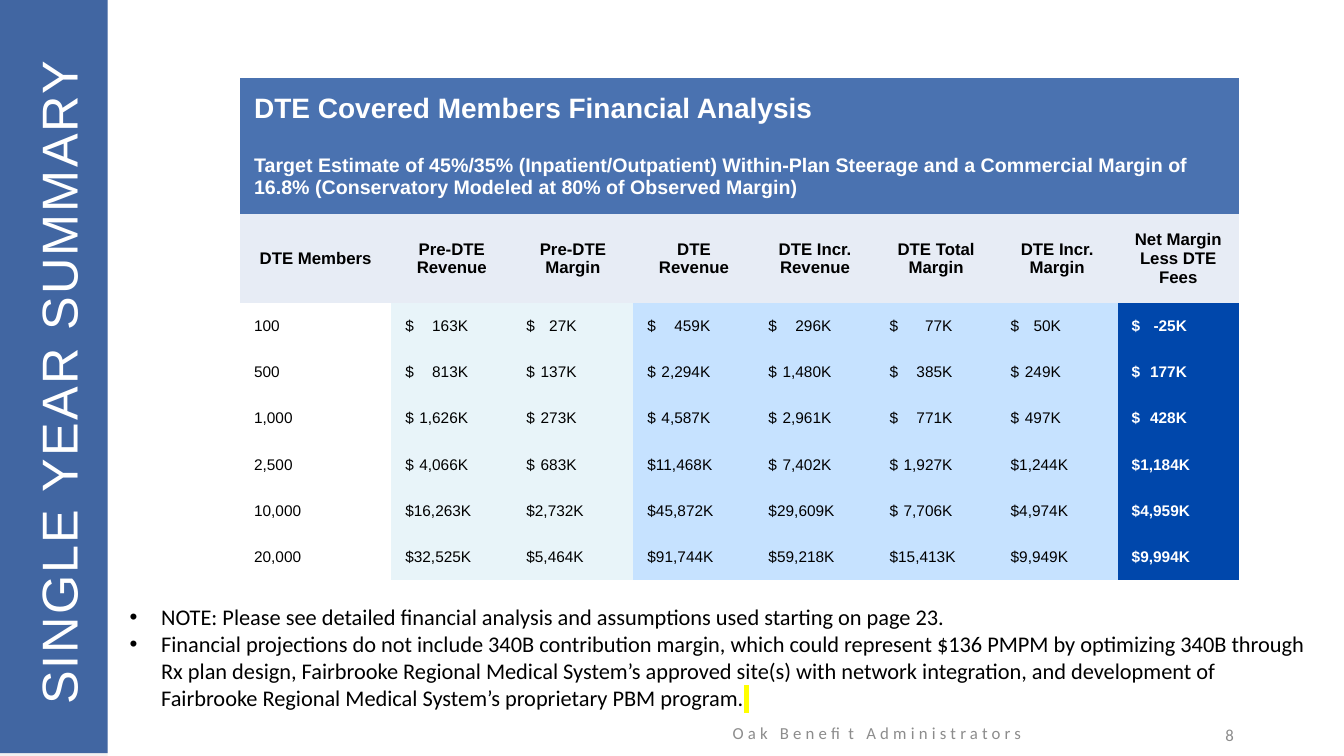
from dataclasses import dataclass
from typing import Optional

from lxml import etree
from pptx import Presentation
from pptx.dml.color import RGBColor
from pptx.enum.shapes import MSO_SHAPE
from pptx.enum.text import MSO_ANCHOR, MSO_AUTO_SIZE, PP_ALIGN
from pptx.oxml.ns import qn
from pptx.util import Pt

PX = 6350  # EMU per px, 144 px to the inch
RECTANGLE = MSO_SHAPE.RECTANGLE
TOP, MIDDLE = MSO_ANCHOR.TOP, MSO_ANCHOR.MIDDLE
LEFT, CENTER, RIGHT = PP_ALIGN.LEFT, PP_ALIGN.CENTER, PP_ALIGN.RIGHT
FIT_SHAPE = MSO_AUTO_SIZE.SHAPE_TO_FIT_TEXT
PLAIN_TABLE = "{2D5ABB26-0587-4C30-8999-92F81FD0307C}"

COLORS = {
    "white": "FFFFFF", "black": "000000", "footer": "8C8C8C",
    "sidebar_base": "F2F2F2", "sidebar": "254F96", "banner": "4A72B0",
    "header": "E7ECF5", "before": "E8F4F9", "after": "C6E2FF",
    "net": "0047AB", "highlight": "FFFF00",
}


@dataclass(frozen=True)
class Style:
    size: int
    font: str = "Arial"
    color: str = "black"
    bold: bool = False
    align: PP_ALIGN = LEFT


@dataclass(frozen=True)
class Label:
    text: str
    left: int
    top: int
    width: int
    height: int
    style: Style
    spacing: int = 0  # hundredths of a point
    rotation: int = 0


@dataclass(frozen=True)
class Column:
    heading: str
    values: tuple
    fill: Optional[str]
    tab: int  # right edge of the amounts
    width: int = 173


LABELS = [
    Label("Oak Benefit Administrators", 929, 1018, 648, 58,
          Style(12, "Calibri", "footer", align=CENTER), spacing=300),
    Label("8", 1345, 1021, 432, 58, Style(12, "Calibri", "footer", align=RIGHT)),
    Label("SINGLE YEAR SUMMARY", -402, 478, 968, 118,
          Style(36, color="white"), spacing=150, rotation=270),
]

BANNERS = [
    ("DTE Covered Members Financial Analysis", 20),
    ("Target Estimate of 45%/35% (Inpatient/Outpatient) Within-Plan Steerage and a "
     "Commercial Margin of 16.8% (Conservatory Modeled at 80% of Observed Margin)", 14),
]
MEMBERS = Column("DTE Members", (100, 500, 1000, 2500, 10000, 20000), None, 0, 216)
AMOUNTS = [
    Column("Pre-DTE Revenue", (163, 813, 1626, 4066, 16263, 32525), "before", 90),
    Column("Pre-DTE Margin", (27, 137, 273, 683, 2732, 5464), "before", 72),
    Column("DTE Revenue", (459, 2294, 4587, 11468, 45872, 91744), "after", 90),
    Column("DTE Incr. Revenue", (296, 1480, 2961, 7402, 29609, 59218), "after", 90),
    Column("DTE Total Margin", (77, 385, 771, 1927, 7706, 15413), "after", 90),
    Column("DTE Incr. Margin", (50, 249, 497, 1244, 4974, 9949), "after", 72),
    Column("Net Margin Less DTE Fees", (-25, 177, 428, 1184, 4959, 9994), "net", 79),
]
ROW_HEIGHTS = [88, 107, 127] + [66] * len(MEMBERS.values)

NOTES = [
    "NOTE: Please see detailed financial analysis and assumptions used starting on page 23.",
    "Financial projections do not include 340B contribution margin, which could represent "
    "$136 PMPM by optimizing 340B through Rx plan design, Fairbrooke Regional Medical "
    "System’s approved site(s) with network integration, and development of Fairbrooke "
    "Regional Medical System’s proprietary PBM program.",
]


def rgb(name: str) -> RGBColor:
    return RGBColor.from_string(COLORS[name])


def set_style(para, style: Style) -> None:
    para.alignment = style.align
    para.font.size = Pt(style.size)
    para.font.name = style.font
    para.font.bold = style.bold
    para.font.color.rgb = rgb(style.color)


def add_bar(page, top: int, color: str, opacity: int = 100) -> None:
    bar = page.shapes.add_shape(RECTANGLE, 0, top * PX, 154 * PX, 1080 * PX)
    bar.shadow.inherit = False
    bar.fill.solid()
    bar.fill.fore_color.rgb = rgb(color)
    bar.line.fill.background()
    if opacity < 100:
        tint = next(bar._element.spPr.iter(qn("a:srgbClr")))
        etree.SubElement(tint, qn("a:alpha"), val=str(opacity * 1000))


def add_label(page, label: Label) -> None:
    box = page.shapes.add_textbox(label.left * PX, label.top * PX,
                                  label.width * PX, label.height * PX)
    box.rotation = label.rotation
    box.text_frame.word_wrap = True
    box.text_frame.vertical_anchor = MIDDLE
    para = box.text_frame.paragraphs[0]
    span = para.add_run()
    span.text = label.text
    if label.spacing:
        span._r.get_or_add_rPr().set("spc", str(label.spacing))
    set_style(para, label.style)


def fill_cell(cell, text: str, style: Style, fill: Optional[str], tab: int = 0) -> None:
    if fill:
        cell.fill.solid()
        cell.fill.fore_color.rgb = rgb(fill)
    else:
        cell.fill.background()
    cell.vertical_anchor = MIDDLE
    cell.margin_left = cell.margin_right = 20 * PX
    cell.margin_top = cell.margin_bottom = 0
    para = cell.text_frame.paragraphs[0]
    para.add_run().text = text
    if tab:
        stops = etree.SubElement(para._p.get_or_add_pPr(), qn("a:tabLst"))
        etree.SubElement(stops, qn("a:tab"), pos=str(tab * PX), algn="r")
    set_style(para, style)


def add_analysis(page) -> None:
    columns = [MEMBERS] + AMOUNTS
    frame = page.shapes.add_table(
        len(ROW_HEIGHTS), len(columns), 343 * PX, 111 * PX,
        sum(column.width for column in columns) * PX, sum(ROW_HEIGHTS) * PX)
    table = frame.table
    table.first_row = table.horz_banding = False
    next(table._tbl.iter(qn("a:tableStyleId"))).text = PLAIN_TABLE
    for row, height in zip(table.rows, ROW_HEIGHTS):
        row.height = height * PX

    # Banner rows across all columns
    for index, (text, size) in enumerate(BANNERS):
        table.cell(index, 0).merge(table.cell(index, len(columns) - 1))
        fill_cell(table.cell(index, 0), text, Style(size, color="white", bold=True), "banner")

    # Headings and values
    heading_row = len(BANNERS)
    for index, column in enumerate(columns):
        table.columns[index].width = column.width * PX
        fill_cell(table.cell(heading_row, index), column.heading,
                  Style(12, bold=True, align=CENTER), "header")
        is_net = column.fill == "net"
        style = Style(11, color="white" if is_net else "black", bold=is_net)
        amounts = [f"{value:,}" for value in column.values]
        widest = max(map(len, amounts))
        for row, amount in enumerate(amounts, heading_row + 1):
            tab = column.tab if len(amount) < widest else 0
            currency = "$\t" if tab else "$"
            text = f"{currency}{amount}K" if column.tab else amount
            fill_cell(table.cell(row, index), text, style, column.fill, tab)


def add_notes(page) -> None:
    box = page.shapes.add_textbox(171 * PX, 855 * PX, 1714 * PX, 131 * PX)
    frame = box.text_frame
    frame.word_wrap = True
    frame.auto_size = FIT_SHAPE
    frame.vertical_anchor = TOP
    for index, note in enumerate(NOTES):
        para = frame.add_paragraph() if index else frame.paragraphs[0]
        para.add_run().text = note
        props = para._p.get_or_add_pPr()
        props.set("marL", str(45 * PX))
        props.set("indent", str(-45 * PX))
        etree.SubElement(props, qn("a:buFont"), typeface="Arial")
        etree.SubElement(props, qn("a:buChar"), char="•")
        set_style(para, Style(16, "Calibri"))
    # Highlighted gap after the last note
    span = para.add_run()
    span.text = " "
    mark = etree.SubElement(span._r.get_or_add_rPr(), qn("a:highlight"))
    etree.SubElement(mark, qn("a:srgbClr"), val=COLORS["highlight"])


def main() -> None:
    deck = Presentation()
    deck.slide_width, deck.slide_height = 1920 * PX, 1080 * PX
    page = deck.slides.add_slide(deck.slide_layouts[6])
    add_bar(page, 0, "sidebar_base")
    add_bar(page, -4, "sidebar", opacity=86)
    for label in LABELS:
        add_label(page, label)
    add_notes(page)
    add_analysis(page)
    deck.save("out.pptx")


if __name__ == "__main__":
    main()
